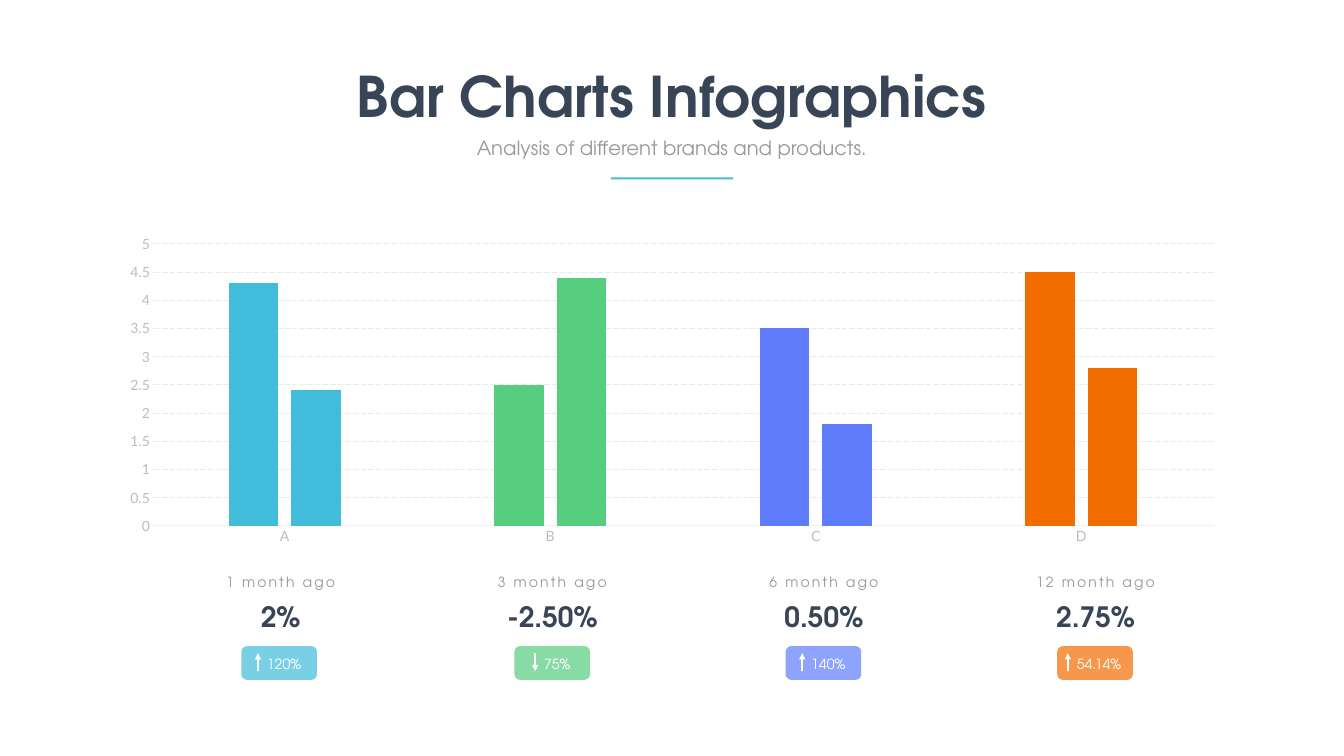
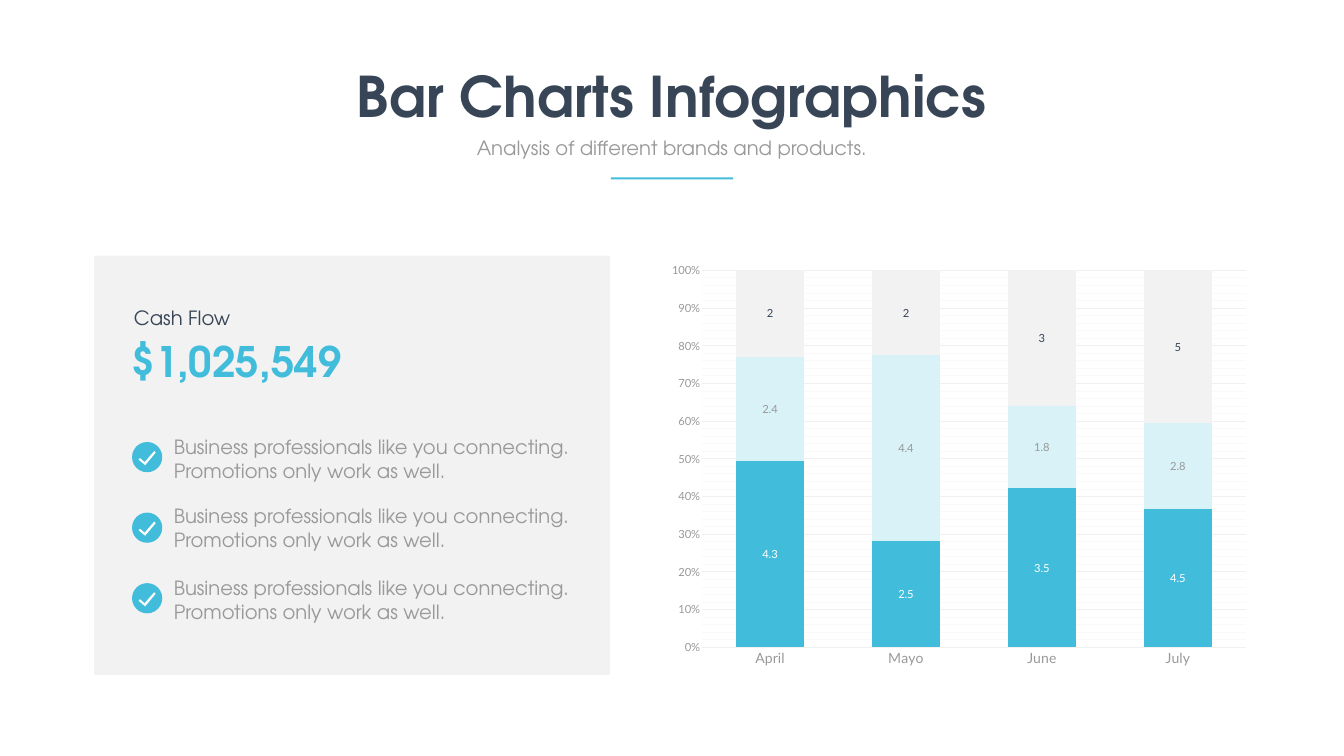
from lxml.etree import SubElement
from pptx import Presentation
from pptx.chart.data import CategoryChartData
from pptx.dml.color import RGBColor
from pptx.enum.chart import XL_CHART_TYPE, XL_LABEL_POSITION, XL_TICK_MARK
from pptx.enum.dml import MSO_LINE
from pptx.enum.shapes import MSO_CONNECTOR, MSO_SHAPE
from pptx.enum.text import MSO_AUTO_SIZE, PP_ALIGN
from pptx.oxml.ns import qn
from pptx.util import Inches, Pt

FONT, CHART_FONT = "TeX Gyre Adventor", "Lato"
DARK, GRAY, PALE_GRAY, WHITE = "374556", "999999", "BDBDBD", "FFFFFF"
BLUE, GREEN, VIOLET, ORANGE = "41BDDB", "57CD7F", "5E7CFB", "F36C00"
LIGHT_BLUE, PANEL, GRID, DASH_GRID = "D9F2F8", "F2F2F2", "F0F0F0", "EBEBEB"
MINOR_GRID = "F9F9F9"
SERIES = [
    ("Series 1", (4.3, 2.5, 3.5, 4.5)),
    ("Series 2", (2.4, 4.4, 1.8, 2.8)),
    ("Series 3", (2, 2, 3, 5)),
]


def rgb(color):
    """Turn a hex string into a colour."""
    return RGBColor.from_string(color)


class Deck:
    """Holds the shared style and the current slide."""

    def __init__(self):
        """Start an empty presentation."""
        self.prs = Presentation()
        self.prs.slide_width, self.prs.slide_height = Inches(26.67), Inches(15)
        self.s = None

    def slide(self, title, subtitle):
        """Add a slide with the heading block."""
        self.s = self.prs.slides.add_slide(self.prs.slide_layouts[6])
        self.text(title, 6.92, 1.17, 12.82, 1.45, 80, DARK, True, True, wrap=False)
        self.text(subtitle, 8.55, 2.65, 9.56, 0.57, 28, GRAY, center=True)
        self.shape(MSO_SHAPE.RECTANGLE, 12.12, 3.52, 2.43, 0.04, BLUE)

    def text(self, words, x, y, w, h, size, color, bold=False, center=False,
             wrap=True, spacing=0):
        """Add a text box with one run."""
        sp = self.s.shapes.add_textbox(Inches(x), Inches(y), Inches(w), Inches(h))
        tf = sp.text_frame
        tf.word_wrap = wrap
        tf.auto_size = MSO_AUTO_SIZE.SHAPE_TO_FIT_TEXT
        p = tf.paragraphs[0]
        p.alignment = PP_ALIGN.CENTER if center else PP_ALIGN.LEFT
        r = p.add_run()
        r.text = words
        self.font(r.font, size, color, FONT)
        r.font.bold = bold
        if spacing:
            r._r.get_or_add_rPr().set("spc", str(spacing * 100))

    def font(self, font, size, color, name=CHART_FONT):
        """Set size, colour and typeface."""
        font.size, font.name = Pt(size), name
        font.color.rgb = rgb(color)

    def fill(self, sp, color, alpha=100):
        """Give a shape a plain fill without line or shadow."""
        sp.shadow.inherit = False
        sp.fill.solid()
        sp.fill.fore_color.rgb = rgb(color)
        sp.line.fill.background()
        if alpha < 100:
            clr = sp._element.spPr.find(f".//{qn('a:srgbClr')}")
            SubElement(clr, qn("a:alpha")).set("val", str(alpha * 1000))

    def shape(self, kind, x, y, w, h, color, alpha=100):
        """Add a filled preset shape."""
        sp = self.s.shapes.add_shape(kind, Inches(x), Inches(y), Inches(w), Inches(h))
        self.fill(sp, color, alpha)

    def outline(self, points, color):
        """Add a filled polygon."""
        pts = [(Inches(x), Inches(y)) for x, y in points]
        builder = self.s.shapes.build_freeform(*pts[0], scale=1.0)
        builder.add_line_segments(pts[1:], close=True)
        self.fill(builder.convert_to_shape(), color)

    def arrow(self, x, y1, y2):
        """Add a white vertical arrow."""
        c = self.s.shapes.add_connector(
            MSO_CONNECTOR.STRAIGHT, Inches(x), Inches(y1), Inches(x), Inches(y2))
        c.line.color.rgb = rgb(WHITE)
        c.line.width = Pt(3)
        SubElement(c.line._get_or_add_ln(), qn("a:tailEnd")).set("type", "triangle")
        SubElement(c._element.spPr, qn("a:effectLst"))

    def grid(self, line, color, width, dash=None):
        """Style a grid or axis line."""
        line.color.rgb = rgb(color)
        line.width = Pt(width)
        if dash:
            line.dash_style = dash

    def minor_grid(self, axis, color, width):
        """Add minor gridlines to an axis."""
        axis.has_minor_gridlines = True
        lines = axis._element.find(qn("c:minorGridlines"))
        ln = SubElement(SubElement(lines, qn("c:spPr")), qn("a:ln"))
        ln.set("w", str(Pt(width)))
        SubElement(SubElement(ln, qn("a:solidFill")), qn("a:srgbClr")).set("val", color)

    def chart(self, kind, x, y, w, h, cats, series, gap, overlap, size, plot_box):
        """Add a column chart and return it."""
        data = CategoryChartData()
        data.categories = cats
        for name, values in series:
            data.add_series(name, values)
        chart = self.s.shapes.add_chart(
            kind, Inches(x), Inches(y), Inches(w), Inches(h), data).chart
        chart.has_title = chart.has_legend = False
        self.font(chart.font, size, GRAY)
        plot = chart.plots[0]
        plot.gap_width, plot.overlap, plot.vary_by_categories = gap, overlap, False
        for axis in (chart.category_axis, chart.value_axis):
            axis.major_tick_mark = axis.minor_tick_mark = XL_TICK_MARK.NONE
        self.grid(chart.category_axis.format.line, GRID, 0.75)
        chart.value_axis.format.line.fill.background()
        chart.value_axis.has_major_gridlines = True
        chart.value_axis.minimum_scale = 0
        self.place_plot(chart, plot_box)
        return chart

    def place_plot(self, chart, box):
        """Fix the inner plot area as fractions of the chart."""
        area = chart._chartSpace.find(f".//{qn('c:plotArea')}")
        for old in area.findall(qn("c:layout")):
            area.remove(old)
        layout = SubElement(area, qn("c:layout"))
        area.insert(0, layout)
        manual = SubElement(layout, qn("c:manualLayout"))
        settings = [("layoutTarget", "inner"), ("xMode", "edge"), ("yMode", "edge")]
        for tag, value in settings + list(zip("xywh", box)):
            SubElement(manual, qn(f"c:{tag}")).set("val", str(value))


def months_slide(deck):
    """Build the clustered columns with four period figures."""
    chart = deck.chart(XL_CHART_TYPE.COLUMN_CLUSTERED, 2.12, 4.55, 22.42, 6.4,
                       "ABCD", SERIES[:2], 312, -27, 20,
                       (0.04, 0.045, 0.94, 0.874))
    for axis in (chart.category_axis, chart.value_axis):
        deck.font(axis.tick_labels.font, 20, PALE_GRAY)
    axis = chart.value_axis
    axis.maximum_scale, axis.major_unit = 5, 0.5
    deck.grid(axis.major_gridlines.format.line, DASH_GRID, 1, MSO_LINE.LONG_DASH)
    colors = (BLUE, GREEN, VIOLET, ORANGE)
    for series in chart.plots[0].series:
        for i, color in enumerate(colors):
            fill = series.points[i].format.fill
            fill.solid()
            fill.fore_color.rgb = rgb(color)

    periods = [
        ("1 month ago", "2%", "120%", True, 4.79, 5.12, 0.96),
        ("3 month ago", "-2.50%", "75%", False, 10.21, 10.62, 0.78),
        ("6 month ago", "0.50%", "140%", True, 15.59, 15.92, 0.96),
        ("12 month ago", "2.75%", "54.14%", True, 20.98, 21.19, 1.19),
    ]
    for i, (period, rate, change, up, pill_x, arrow_x, w) in enumerate(periods):
        x = 4.11 + 5.39 * i
        deck.text(rate, x + 0.17, 11.84, 2.58, 0.77, 40, DARK, True, True)
        deck.text(period, x, 11.33, 2.92, 0.44, 20, GRAY, center=True, spacing=3)
        deck.shape(MSO_SHAPE.ROUNDED_RECTANGLE, pill_x, 12.82, 1.5, 0.67,
                   colors[i], 70)
        deck.text(change, arrow_x + 0.08, 12.96, w, 0.44, 20, WHITE)
        deck.arrow(arrow_x, *((13.32, 12.96) if up else (12.96, 13.32)))


def cash_slide(deck):
    """Build the stacked columns beside the cash flow panel."""
    chart = deck.chart(XL_CHART_TYPE.COLUMN_STACKED_100, 13.05, 5.07, 11.91, 8.32,
                       ("April", "Mayo", "June", "July"), SERIES, 100, 100, 16,
                       (0.074, 0.035, 0.906, 0.899))
    deck.font(chart.category_axis.tick_labels.font, 20, GRAY)
    axis = chart.value_axis
    deck.font(axis.tick_labels.font, 16, GRAY)
    axis.tick_labels.number_format = "0%"
    axis.tick_labels.number_format_is_linked = False
    axis.maximum_scale, axis.major_unit, axis.minor_unit = 1, 0.1, 0.02
    deck.grid(axis.major_gridlines.format.line, GRID, 0.75)
    deck.minor_grid(axis, MINOR_GRID, 0.75)
    styles = ((BLUE, WHITE), (LIGHT_BLUE, GRAY), (PANEL, DARK))
    for series, (color, label_color) in zip(chart.plots[0].series, styles):
        series.format.fill.solid()
        series.format.fill.fore_color.rgb = rgb(color)
        labels = series.data_labels
        labels.show_value = True
        labels.position = XL_LABEL_POSITION.CENTER
        deck.font(labels.font, 16, label_color)

    deck.shape(MSO_SHAPE.RECTANGLE, 1.87, 5.07, 10.24, 8.32, PANEL)
    deck.text("$1,025,549", 2.52, 6.61, 5.33, 1.11, 60, BLUE, True)
    deck.text("Cash Flow", 2.56, 6.03, 4.76, 0.57, 28, DARK)
    check = ((0.44, 0.18), (0.47, 0.21), (0.26, 0.46), (0.13, 0.35),
             (0.16, 0.32), (0.25, 0.4))
    for i, text_y in enumerate((8.58, 9.95, 11.38)):
        x, y = 2.62, 8.77 + 1.4 * i
        deck.shape(MSO_SHAPE.OVAL, x, y, 0.6, 0.6, BLUE)
        deck.outline([(x + dx, y + dy) for dx, dy in check], WHITE)
        deck.text("Business professionals like you connecting. "
                  "Promotions only work as well.", 3.35, text_y, 8.12, 1.04, 28, GRAY)


def main():
    """Build both slides and save them."""
    deck = Deck()
    for build in (months_slide, cash_slide):
        deck.slide("Bar Charts Infographics",
                   "Analysis of different brands and products.")
        build(deck)
    deck.prs.save("out.pptx")


if __name__ == "__main__":
    main()
